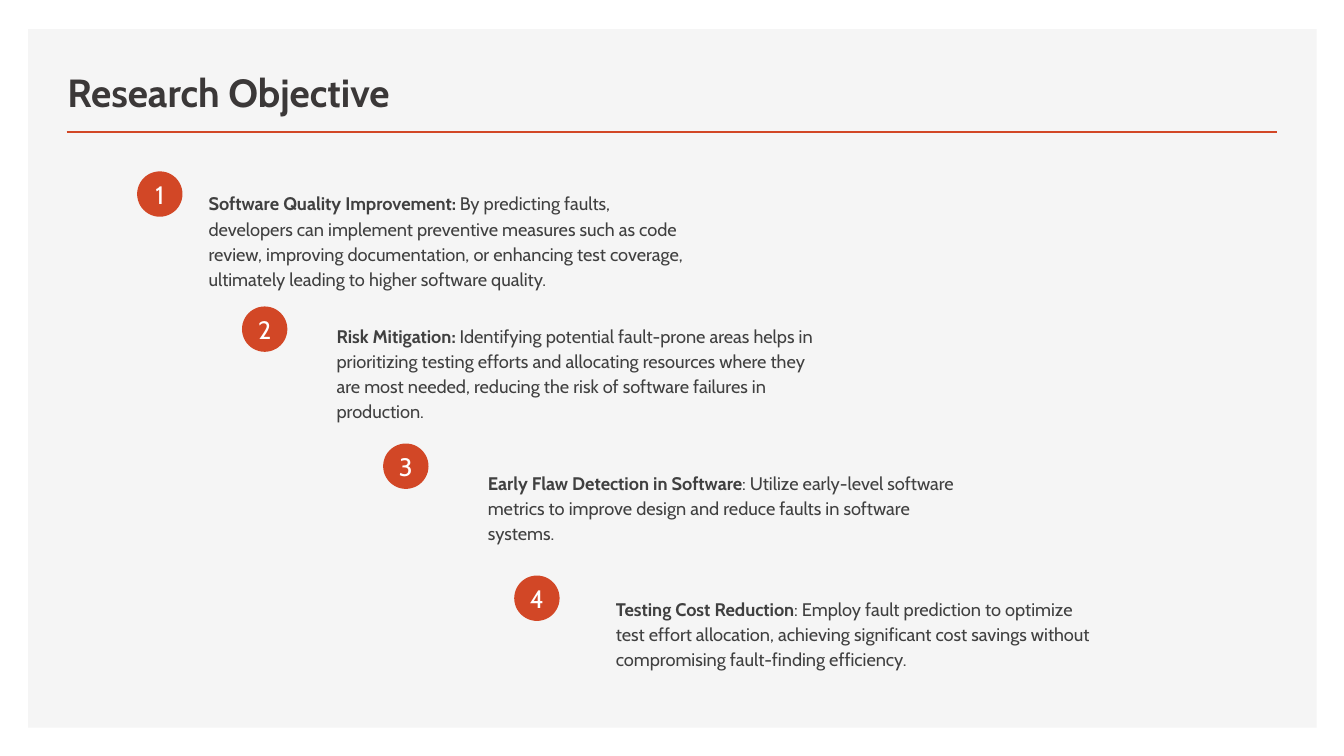
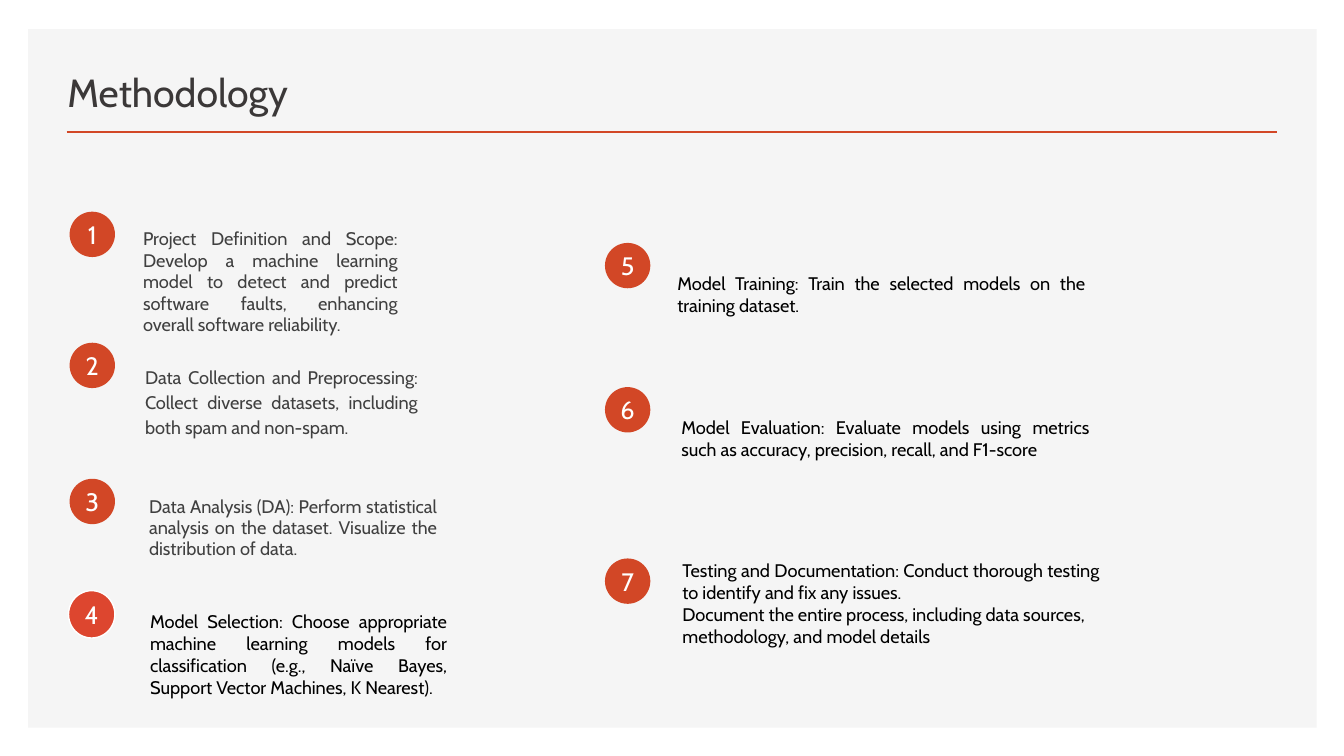
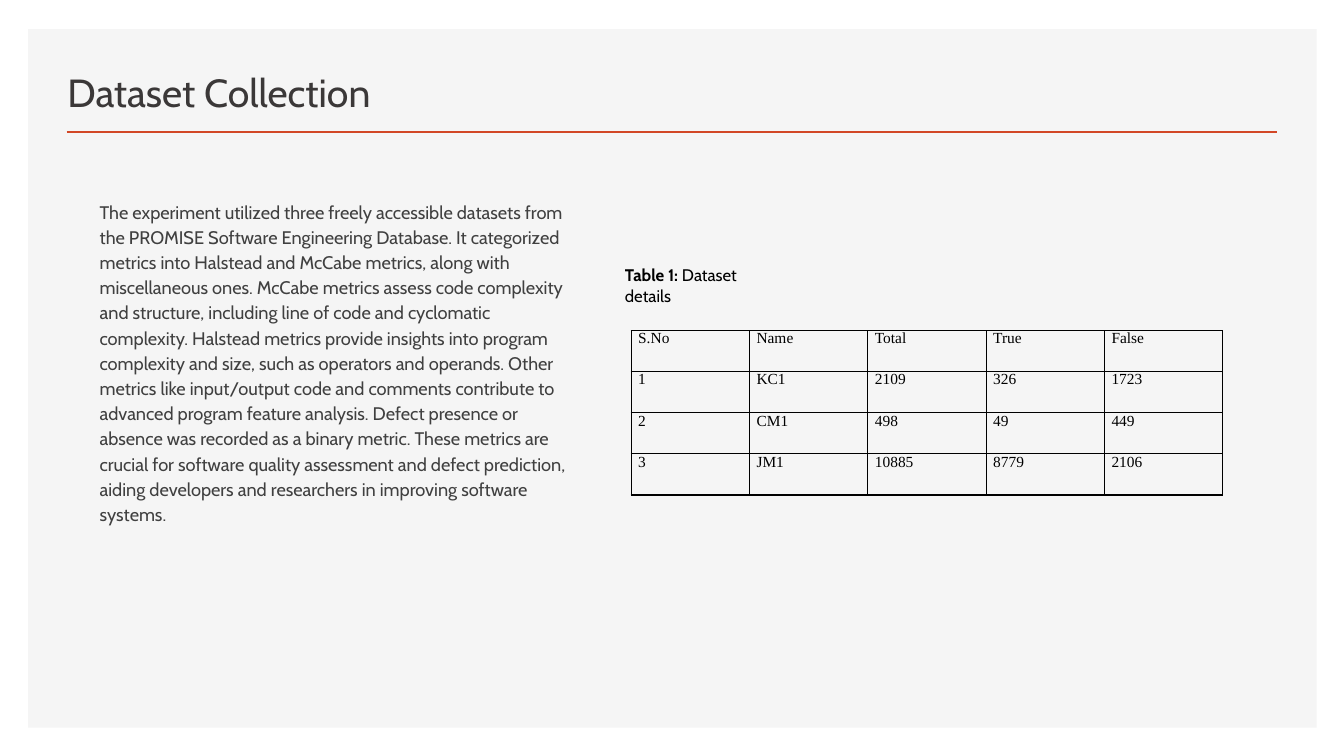
from lxml import etree
from pptx import Presentation
from pptx import util as u
from pptx.dml.color import RGBColor
from pptx.enum import shapes, text
from pptx.oxml.ns import qn

SCALE = 9144
PAGE = (1333, 750)
PANEL = (28, 29, 1278, 693)
RULE = (66, 131, 1267, 131)
TITLE_BOX = (57, 49, 752, 70)
ACCENT, PALE, WHITE, BLACK = "D24726", "F5F5F5", "FFFFFF", "000000"

TITLE = {"name": "Cabin", "size": u.Pt(28), "color": "3B3838"}
NUMBER = {"name": "Cabin", "size": u.Pt(18), "color": WHITE}
BODY = {"name": "Cabin", "size": u.Pt(13), "color": "404040"}
DARK = {**BODY, "color": BLACK}
CAPTION = {**DARK, "size": u.Pt(12)}
CELL = {"name": "Times New Roman", "size": u.Pt(11), "color": BLACK}

CENTER = {"alignment": text.PP_ALIGN.CENTER}
JUSTIFY = {"alignment": text.PP_ALIGN.JUSTIFY}
LOOSE = {"line_spacing": u.Pt(18)}
SNUG = {"line_spacing": 0.98, **JUSTIFY}

BADGE = {"kind": shapes.MSO_SHAPE.OVAL, "size": (45, 45), "fill": ACCENT}
OUTLINED_BADGE = {
    "kind": shapes.MSO_SHAPE.FLOWCHART_CONNECTOR,
    "size": (46, 47), "fill": "DD462F", "line": WHITE,
}

OBJECTIVES = [
    ((136, 170), (197, 183, 502, 125), "Software Quality Improvement:",
     " By predicting faults, developers can implement preventive measures such as code review, "
     "improving documentation, or enhancing test coverage, ultimately leading to higher software quality."),
    ((240, 304), (324, 314, 493, 135), "Risk Mitigation:",
     " Identifying potential fault-prone areas helps in prioritizing testing efforts and allocating "
     "resources where they are most needed, reducing the risk of software failures in production."),
    ((380, 440), (474, 460, 493, 83), "Early Flaw Detection in Software",
     ": Utilize early-level software metrics to improve design and reduce faults in software systems."),
    ((510, 571), (601, 585, 493, 83), "Testing Cost Reduction",
     ": Employ fault prediction to optimize test effort allocation, achieving significant cost savings "
     "without compromising fault-finding efficiency."),
]

STEPS = [
    ((69, 210), BADGE, (132, 222, 272, 100), BODY, [
        ("Project Definition and Scope: Develop a machine learning model to detect and predict "
         "software faults, enhancing overall software reliability.", SNUG)]),
    ((69, 340), BADGE, (134, 355, 290, 159), BODY, [
        ("Data Collection and Preprocessing: Collect diverse datasets, including both spam and non-spam.",
         {**LOOSE, **JUSTIFY})]),
    ((69, 475), BADGE, (138, 487, 305, 121), BODY, [
        ("Data Analysis (DA): Perform statistical analysis on the dataset. "
         "Visualize the distribution of data.", SNUG)]),
    ((68, 586), OUTLINED_BADGE, (139, 601, 314, 119), DARK, [
        ("Model Selection: Choose appropriate machine learning models for classification "
         "(e.g., Naïve Bayes, Support Vector Machines, K Nearest).", JUSTIFY)]),
    ((600, 241), BADGE, (662, 265, 424, 76), DARK, [
        ("Model Training: Train the selected models on the training dataset.", JUSTIFY)]),
    ((600, 384), BADGE, (666, 408, 424, 54), DARK, [
        ("Model Evaluation: Evaluate models using metrics such as accuracy, precision, recall, and F1-score",
         JUSTIFY)]),
    ((600, 554), BADGE, (667, 550, 433, 141), DARK, [
        ("Testing and Documentation: Conduct thorough testing to identify and fix any issues.", JUSTIFY),
        ("Document the entire process, including data sources, methodology, and model details", {})]),
]

DATASET_BOX = (89, 191, 483, 435)
DATASET_TEXT = (
    "The experiment utilized three freely accessible datasets from the PROMISE Software Engineering "
    "Database. It categorized metrics into Halstead and McCabe metrics, along with miscellaneous ones. "
    "McCabe metrics assess code complexity and structure, including line of code and cyclomatic "
    "complexity. Halstead metrics provide insights into program complexity and size, such as operators "
    "and operands. Other metrics like input/output code and comments contribute to advanced program "
    "feature analysis. Defect presence or absence was recorded as a binary metric. These metrics are "
    "crucial for software quality assessment and defect prediction, aiding developers and researchers "
    "in improving software systems."
)
CAPTION_BOX = (610, 268, 177, 30)
TABLE_BOX = (626, 328, 587, 163)
DATASETS = [
    ("S.No", "Name", "Total", "True", "False"),
    ("1", "KC1", "2109", "326", "1723"),
    ("2", "CM1", "498", "49", "449"),
    ("3", "JM1", "10885", "8779", "2106"),
]


def px(*lengths):
    return [u.Emu(length * SCALE) for length in lengths]


def color(value):
    return RGBColor.from_string(value)


def apply(target, values):
    for name, value in values.items():
        setattr(target, name, value)


def write(frame, paragraphs, style):
    for index, (spans, layout) in enumerate(paragraphs):
        para = frame.add_paragraph() if index else frame.paragraphs[0]
        apply(para, layout)
        for words, bold in spans:
            span = para.add_run()
            span.text = words
            values = {**style, "bold": bold}
            span.font.color.rgb = color(values.pop("color"))
            apply(span.font, values)


def add_text(page, box, paragraphs, style, anchor=text.MSO_ANCHOR.TOP):
    frame = page.shapes.add_textbox(*px(*box)).text_frame
    apply(frame, {"word_wrap": True, "vertical_anchor": anchor})
    write(frame, paragraphs, style)


def add_filled(page, kind, box, fill, line=None):
    shape = page.shapes.add_shape(kind, *px(*box))
    shape.shadow.inherit = False
    shape.fill.solid()
    shape.fill.fore_color.rgb = color(fill)
    if line:
        shape.line.color.rgb = color(line)
        shape.line.width = u.Pt(1)
    else:
        shape.line.fill.background()
    return shape


def add_badge(page, number, place, look):
    badge = add_filled(page, look["kind"], (*place, *look["size"]), look["fill"], look.get("line"))
    frame = badge.text_frame
    apply(frame, {"word_wrap": False, "vertical_anchor": text.MSO_ANCHOR.MIDDLE,
                  "margin_left": 0, "margin_right": 0, "margin_top": 0, "margin_bottom": 0})
    write(frame, [([(str(number), False)], CENTER)], NUMBER)


def add_page(deck, title, bold=False):
    page = deck.slides.add_slide(deck.slide_layouts[6])
    add_filled(page, shapes.MSO_SHAPE.RECTANGLE, PANEL, PALE)
    rule = page.shapes.add_connector(shapes.MSO_CONNECTOR.STRAIGHT, *px(*RULE))
    rule.line.color.rgb = color(ACCENT)
    rule.line.width = u.Pt(2)
    etree.SubElement(rule._element.spPr, qn("a:effectLst"))
    add_text(page, TITLE_BOX, [([(title, bold)], {})], TITLE, text.MSO_ANCHOR.BOTTOM)
    return page


def add_borders(cell):
    properties = cell._tc.get_or_add_tcPr()
    for side in ("a:lnL", "a:lnR", "a:lnT", "a:lnB"):
        border = etree.SubElement(properties, qn(side), w=str(u.Pt(1)))
        fill = etree.SubElement(border, qn("a:solidFill"))
        etree.SubElement(fill, qn("a:srgbClr"), val=BLACK)


def add_grid(page, rows, box):
    grid = page.shapes.add_table(len(rows), len(rows[0]), *px(*box)).table
    apply(grid, {"first_row": False, "horz_banding": False})
    margin, none = px(7, 0)
    for row, values in enumerate(rows):
        for column, value in enumerate(values):
            cell = grid.cell(row, column)
            add_borders(cell)
            cell.fill.background()
            apply(cell, {"margin_left": margin, "margin_right": margin,
                         "margin_top": none, "margin_bottom": none})
            layout = {"line_spacing": 0.97, "space_before": u.Pt(2), "space_after": u.Pt(6)}
            write(cell.text_frame, [([(value, False)], layout)], CELL)


def main():
    deck = Presentation()
    deck.slide_width, deck.slide_height = px(*PAGE)

    page = add_page(deck, "Research Objective", bold=True)
    for number, (place, box, heading, detail) in enumerate(OBJECTIVES, 1):
        add_badge(page, number, place, BADGE)
        add_text(page, box, [([(heading, True), (detail, False)], LOOSE)], BODY)

    page = add_page(deck, "Methodology")
    for number, (place, look, box, style, lines) in enumerate(STEPS, 1):
        add_badge(page, number, place, look)
        add_text(page, box, [([(words, False)], layout) for words, layout in lines], style)

    page = add_page(deck, "Dataset Collection")
    add_text(page, DATASET_BOX, [([(DATASET_TEXT, False)], LOOSE)], BODY)
    add_grid(page, DATASETS, TABLE_BOX)
    add_text(page, CAPTION_BOX, [([("Table 1: ", True), ("Dataset details", False)], {})],
             CAPTION, text.MSO_ANCHOR.MIDDLE)

    deck.save("out.pptx")


if __name__ == "__main__":
    main()
